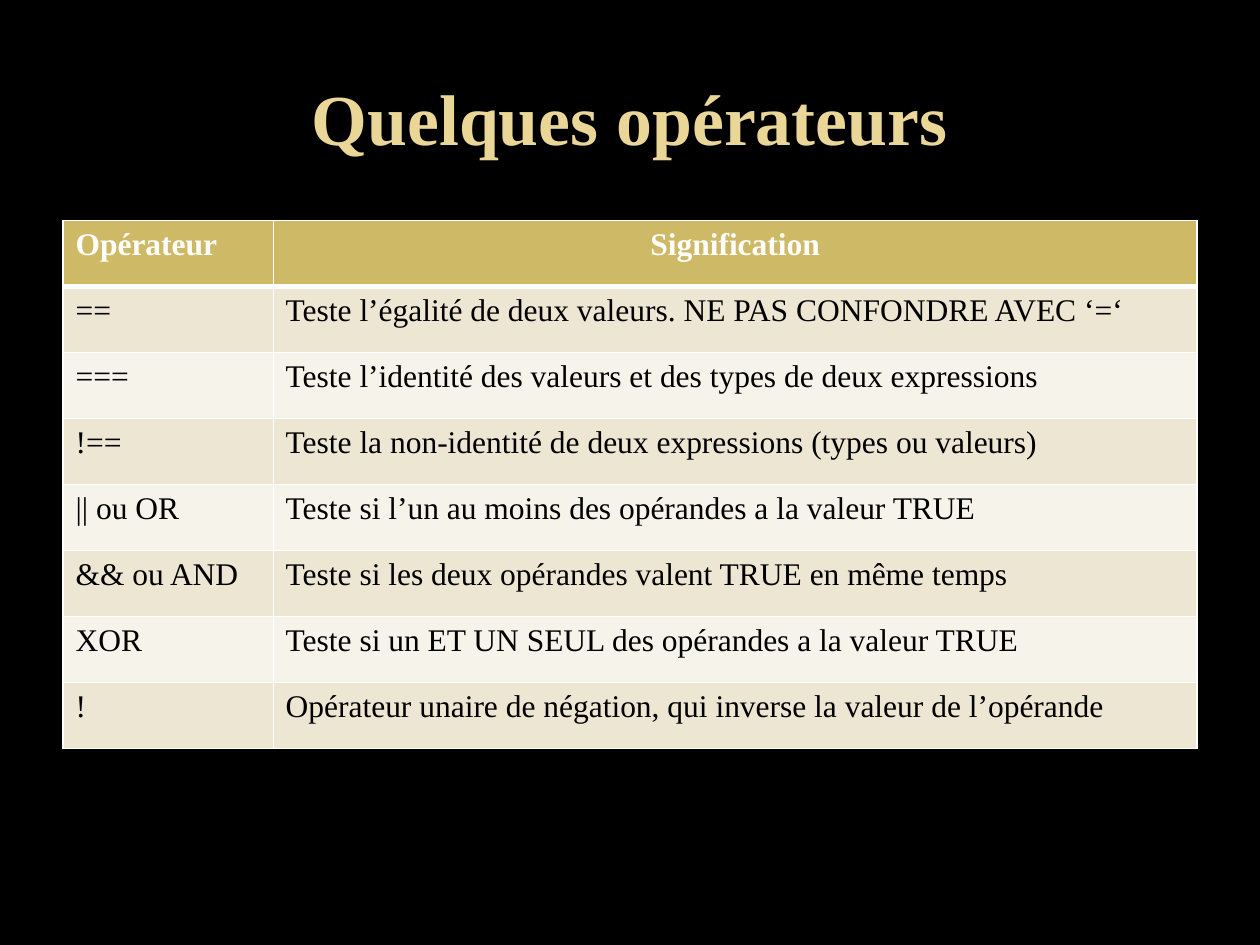
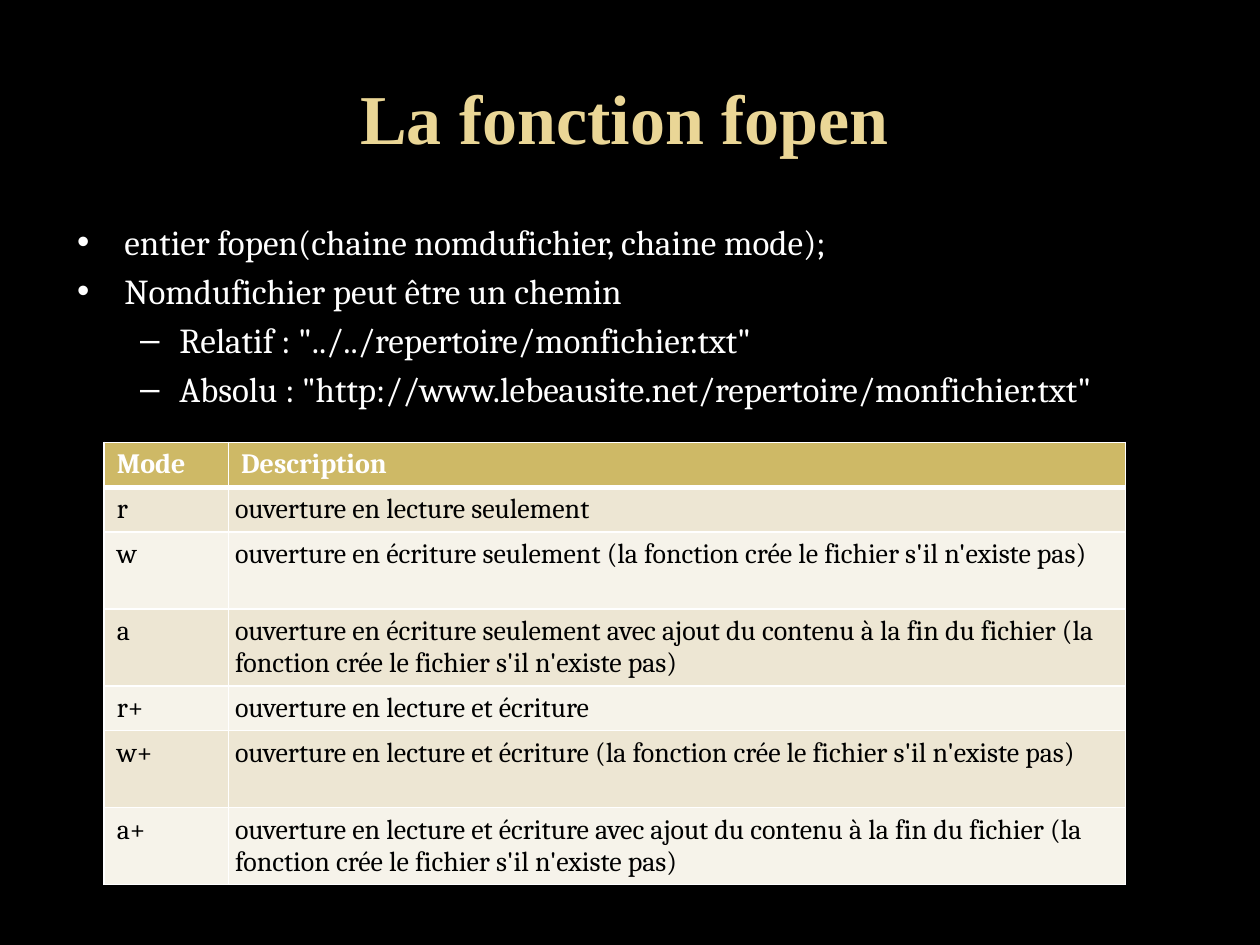
"""Builds two slides on operators and the fopen function."""
from lxml.etree import SubElement
from pptx import Presentation
from pptx.dml.color import RGBColor
from pptx.enum.text import MSO_ANCHOR as Anchor, MSO_AUTO_SIZE as AutoSize, PP_ALIGN as Align
from pptx.oxml.ns import qn
from pptx.util import Cm, Pt

rgb = RGBColor.from_string
BLACK, WHITE, GOLD, TITLE_GOLD = "000000", "FFFFFF", "CEB966", "EAD696"
BANDS = ["EDE6D3", "F6F3EA"]
ROMAN, CAMBRIA = "Times New Roman", "Cambria"
BORDER_THIN, BORDER_THICK = Pt(1), Pt(3)


def write(paragraph, text, font, size, color, bold=False, align=None, level=0):
    run = paragraph.add_run()
    run.text = text
    run.font.name, run.font.size, run.font.bold = font, Pt(size), bold
    run.font.color.rgb = rgb(color)
    paragraph.alignment = align
    paragraph.level = level


def draw_borders(cell, row):
    properties = cell._tc.get_or_add_tcPr()
    widths = {"a:lnL": BORDER_THIN, "a:lnR": BORDER_THIN,
              "a:lnT": BORDER_THICK if row == 1 else BORDER_THIN,
              "a:lnB": BORDER_THICK if row == 0 else BORDER_THIN}
    for side, width in widths.items():
        line = SubElement(properties, qn(side), w=str(int(width)))
        SubElement(SubElement(line, qn("a:solidFill")), qn("a:srgbClr"), val=WHITE)


operators = [
    ("Opérateur", "Signification"),
    ("==", "Teste l’égalité de deux valeurs. NE PAS CONFONDRE AVEC ‘=‘"),
    ("===", "Teste l’identité des valeurs et des types de deux expressions"),
    ("!==", "Teste la non-identité de deux expressions (types ou valeurs)"),
    ("|| ou OR", "Teste si l’un au moins des opérandes a la valeur TRUE"),
    ("&& ou AND", "Teste si les deux opérandes valent TRUE en même temps"),
    ("XOR", "Teste si un ET UN SEUL des opérandes a la valeur TRUE"),
    ("!", "Opérateur unaire de négation, qui inverse la valeur de l’opérande"),
]
creation = "(la fonction crée le fichier s'il n'existe pas)"
appending = "avec ajout du contenu à la fin du fichier"
modes = [
    ("Mode", "Description"),
    ("r", "ouverture en lecture seulement"),
    ("w", f"ouverture en écriture seulement {creation}"),
    ("a", f"ouverture en écriture seulement {appending} {creation}"),
    ("r+", "ouverture en lecture et écriture"),
    ("w+", f"ouverture en lecture et écriture {creation}"),
    ("a+", f"ouverture en lecture et écriture {appending} {creation}"),
]
fopen_points = [
    (0, "entier fopen(chaine nomdufichier, chaine mode);"),
    (0, "Nomdufichier peut être un chemin"),
    (1, 'Relatif : "../../repertoire/monfichier.txt"'),
    (1, 'Absolu : "http://www.lebeausite.net/repertoire/monfichier.txt"'),
]
lessons = [
    dict(title="Quelques opérateurs", title_size=41, title_left=1.27, title_width=22.86,
         points=[], rows=operators, left=1.27, top=4.45, columns=[4.24, 18.62],
         heights=[1.33] * 8, font=ROMAN, size=18, heading_align=Align.CENTER, inset=0.25),
    dict(title="La fonction fopen", title_size=40, title_left=0.89, title_width=23.4,
         points=fopen_points, rows=modes, left=2.1, top=8.92, columns=[2.51, 18.08],
         heights=[0.9, 0.9, 1.55, 1.55, 0.9, 1.55, 1.55], font=CAMBRIA, size=16,
         heading_align=Align.LEFT, inset=0.13),
]

prs = Presentation()
prs.slide_width, prs.slide_height = Cm(25.4), Cm(19.05)
backdrop = prs.slide_master.background.fill
backdrop.solid()
backdrop.fore_color.rgb = rgb(BLACK)

for lesson in lessons:
    slide = prs.slides.add_slide(prs.slide_layouts[1 if lesson["points"] else 5])
    title = slide.shapes.title
    title.left, title.top = Cm(lesson["title_left"]), Cm(0.76)
    title.width, title.height = Cm(lesson["title_width"]), Cm(3.18)
    title.text_frame.vertical_anchor = Anchor.MIDDLE
    write(title.text_frame.paragraphs[0], lesson["title"], ROMAN, lesson["title_size"],
          TITLE_GOLD, bold=True, align=Align.CENTER)

    if lesson["points"]:
        body = slide.placeholders[1]
        body.left, body.top, body.width, body.height = Cm(1.3), Cm(4.32), Cm(22.86), Cm(4.4)
        body.text_frame.auto_size = AutoSize.NONE
        for index, (level, point) in enumerate(lesson["points"]):
            paragraph = body.text_frame.add_paragraph() if index else body.text_frame.paragraphs[0]
            write(paragraph, point, CAMBRIA, 20, WHITE, level=level)

    rows, columns, heights = lesson["rows"], lesson["columns"], lesson["heights"]
    table = slide.shapes.add_table(len(rows), len(columns), Cm(lesson["left"]), Cm(lesson["top"]),
                                   Cm(sum(columns)), Cm(sum(heights))).table
    for column, width in zip(table.columns, columns):
        column.width = Cm(width)
    for r, (entries, height) in enumerate(zip(rows, heights)):
        table.rows[r].height = Cm(height)
        heading = r == 0
        for c, entry in enumerate(entries):
            cell = table.cell(r, c)
            draw_borders(cell, r)
            cell.fill.solid()
            cell.fill.fore_color.rgb = rgb(GOLD if heading else BANDS[(r - 1) % 2])
            if c and not heading:
                cell.margin_left = cell.margin_right = Cm(lesson["inset"])
            write(cell.text_frame.paragraphs[0], entry, lesson["font"], lesson["size"],
                  WHITE if heading else BLACK, bold=heading,
                  align=lesson["heading_align"] if heading and c else Align.LEFT)

prs.save("out.pptx")
